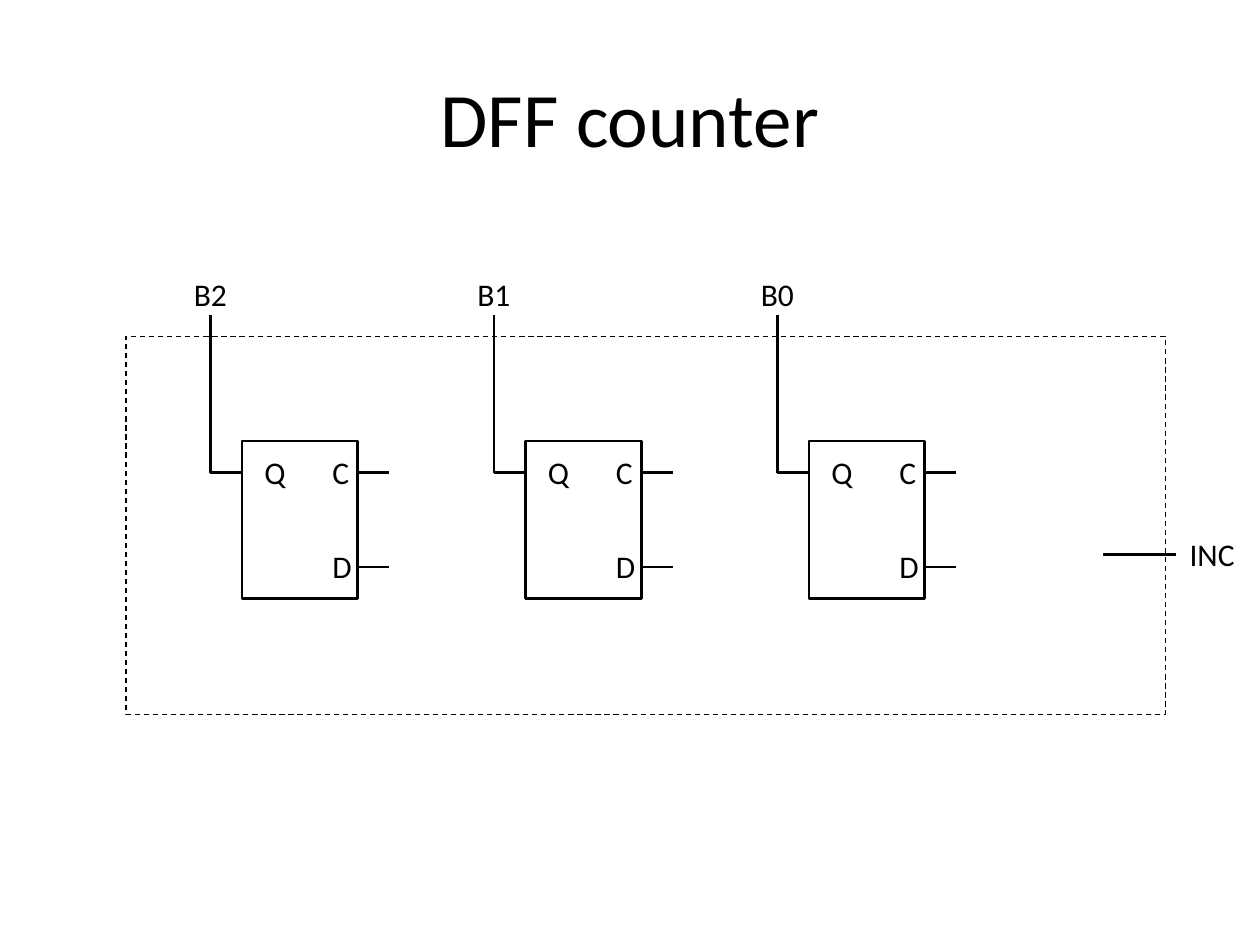
"""Build a slide with the unwired flip-flops of a three-bit DFF counter."""
from lxml.etree import SubElement
from pptx import Presentation
from pptx.dml.color import RGBColor
from pptx.enum.dml import MSO_LINE
from pptx.enum.shapes import MSO_CONNECTOR, MSO_SHAPE
from pptx.enum.text import MSO_ANCHOR, PP_ALIGN
from pptx.oxml.ns import qn
from pptx.util import Inches, Pt

THEME = dict(font="Calibri", ink=RGBColor(0, 0, 0), title=44, label=18,
             wire=1.5, frame=0.75)
WIDTH, HEIGHT = 10, 7.5
TITLE = "DFF counter"
BITS = ["B2", "B1", "B0"]
PINS = [("D", 0.62, 0.83), ("Q", 0.08, 0.08), ("C", 0.62, 0.08)]
INPUT = "INC"

FIRST_LEFT, PITCH = 1.92, 2.25
FLOP_TOP, FLOP_WIDTH, FLOP_HEIGHT = 3.5, 0.92, 1.25
STUB = 0.25
UPPER_PIN, LOWER_PIN = FLOP_TOP + STUB, FLOP_TOP + FLOP_HEIGHT - STUB
BIT_TOP, WIRE_TOP = 2.17, 2.5
LABEL_HEIGHT = 0.33
FRAME = (1, 2.67, 8.25, 3)
INPUT_LEFT, INPUT_END, INPUT_Y = 8.75, 9.33, 4.4

deck = Presentation()
deck.slide_width, deck.slide_height = Inches(WIDTH), Inches(HEIGHT)
slide = deck.slides.add_slide(deck.slide_layouts[6])


def add_text(text, left, top, width, height=LABEL_HEIGHT, size=THEME["label"]):
    box = slide.shapes.add_textbox(*map(Inches, (left, top, width, height)))
    frame = box.text_frame
    frame.word_wrap = True
    frame.vertical_anchor = MSO_ANCHOR.MIDDLE
    paragraph = frame.paragraphs[0]
    paragraph.alignment = PP_ALIGN.CENTER
    run = paragraph.add_run()
    run.text = text
    run.font.name, run.font.size = THEME["font"], Pt(size)
    run.font.color.rgb = THEME["ink"]


def style_line(line, weight, dash=None):
    line.color.rgb, line.width = THEME["ink"], Pt(weight)
    if dash:
        line.dash_style = dash


def add_outline(left, top, width, height, weight=THEME["wire"], dash=None):
    outline = slide.shapes.add_shape(
        MSO_SHAPE.RECTANGLE, *map(Inches, (left, top, width, height)))
    outline.shadow.inherit = False
    outline.fill.background()
    style_line(outline.line, weight, dash)


def add_wire(*ends):
    wire = slide.shapes.add_connector(MSO_CONNECTOR.STRAIGHT, *map(Inches, ends))
    style_line(wire.line, THEME["wire"])
    SubElement(wire._element.spPr, qn("a:effectLst"))


def add_flop(bit, left):
    right, bit_x = left + FLOP_WIDTH, left - STUB
    add_outline(left, FLOP_TOP, FLOP_WIDTH, FLOP_HEIGHT)
    for pin, across, down in PINS:
        add_text(pin, left + across, FLOP_TOP + down, 0.25)
    add_wire(bit_x, UPPER_PIN, left, UPPER_PIN)
    for pin_y in (LOWER_PIN, UPPER_PIN):
        add_wire(right, pin_y, right + STUB, pin_y)
    add_wire(bit_x, WIRE_TOP, bit_x, UPPER_PIN)
    add_text(bit, bit_x - 0.25, BIT_TOP, 0.5)


add_text(TITLE, 0.05 * WIDTH, 0.04 * HEIGHT, 0.9 * WIDTH, 1.25, THEME["title"])
for column, bit in enumerate(BITS):
    add_flop(bit, FIRST_LEFT + column * PITCH)
add_outline(*FRAME, weight=THEME["frame"], dash=MSO_LINE.DASH)
add_text(INPUT, INPUT_END, INPUT_Y - LABEL_HEIGHT / 2, 0.58)
add_wire(INPUT_END, INPUT_Y, INPUT_LEFT, INPUT_Y)

deck.save("out.pptx")
